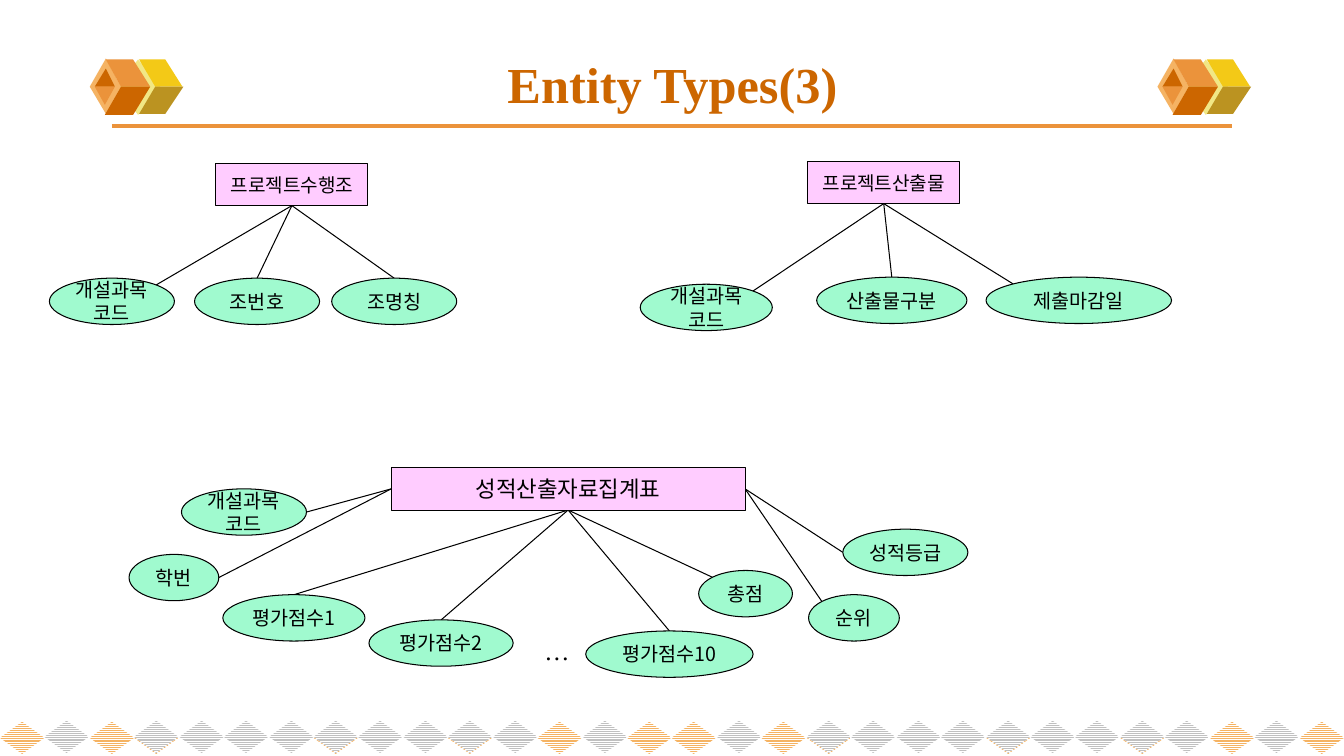
from pptx import Presentation
from pptx.dml.color import RGBColor
from pptx.enum.dml import MSO_PATTERN
from pptx.enum.shapes import MSO_CONNECTOR, MSO_SHAPE
from pptx.enum.text import MSO_ANCHOR, MSO_AUTO_SIZE, PP_ALIGN
from pptx.oxml.ns import qn
from pptx.util import Pt
from lxml import etree

PX = 9144  # 100 px to the inch
WIDTH, HEIGHT = 1333, 750
RECTANGLE, OVAL, DIAMOND = MSO_SHAPE.RECTANGLE, MSO_SHAPE.OVAL, MSO_SHAPE.DIAMOND
STRAIGHT = MSO_CONNECTOR.STRAIGHT
NARROW_HORIZONTAL = MSO_PATTERN.NARROW_HORIZONTAL
CENTER, LEFT, MIDDLE, TOP = PP_ALIGN.CENTER, PP_ALIGN.LEFT, MSO_ANCHOR.MIDDLE, MSO_ANCHOR.TOP
FIT_SHAPE = MSO_AUTO_SIZE.SHAPE_TO_FIT_TEXT

THEME = {
    "title": "CC6600", "ink": "000000", "paper": "FFFFFF",
    "entity": "FFCCFF", "attribute": "A0FACF",
    "rule": "EB933B", "band": "F5B363", "band_grey": "C0C0C0",
    "korean_font": "Noto Sans CJK KR", "latin_font": "Times New Roman",
    "title_size": 36, "entity_size": 13.6, "summary_size": 16,
    "attribute_size": 14, "dots_size": 18,
}


def write_text(shape, text, font_name, size, color, bold=False, align=CENTER, anchor=MIDDLE, inset=None):
    frame = shape.text_frame
    frame.text = text
    frame.word_wrap = True
    frame.vertical_anchor = anchor
    if inset is not None:
        for side in ("left", "top", "right", "bottom"):
            setattr(frame, "margin_" + side, inset * PX)
    for paragraph in frame.paragraphs:
        paragraph.alignment = align
        for run in paragraph.runs:
            formats = {"name": font_name, "size": Pt(size), "bold": bold}
            for name, value in formats.items():
                setattr(run.font, name, value)
            run.font.color.rgb = RGBColor.from_string(color)
            latin = run.font._element.find(qn("a:latin"))
            east_asian = etree.Element(qn("a:ea"), typeface=font_name)
            latin.addnext(east_asian)


def draw_line(shapes, start, end, color, weight):
    line = shapes.add_connector(STRAIGHT, *[round(value * PX) for value in (*start, *end)])
    line.line.color.rgb = RGBColor.from_string(color)
    line.line.width = Pt(weight)
    etree.SubElement(line._element.spPr, qn("a:effectLst"))


presentation = Presentation()
presentation.slide_width, presentation.slide_height = WIDTH * PX, HEIGHT * PX
slide = presentation.slides.add_slide(presentation.slide_layouts[5])

# Band of striped diamonds along the bottom edge
DIAMOND_COUNT = 30
orange_places = {0, 2, 12, 14, 15, 17, 27, 29}
tipped_places = {3, 7, 10, 18, 22, 25}
band = [(place, 716, "band") for place in sorted(orange_places | tipped_places)]
band += [(place, 715, "band_grey") for place in range(DIAMOND_COUNT) if place not in orange_places]
for place, top, color in band:
    left = round(place * WIDTH / DIAMOND_COUNT)
    diamond = slide.shapes.add_shape(DIAMOND, left * PX, top * PX, 44 * PX, 32 * PX)
    diamond.shadow.inherit = False
    diamond.line.fill.background()
    diamond.fill.patterned()
    diamond.fill.pattern = NARROW_HORIZONTAL
    diamond.fill.fore_color.rgb = RGBColor.from_string(THEME[color])
    diamond.fill.back_color.rgb = RGBColor.from_string(THEME["paper"])

# Rule below the title, with a pair of cubes at each end
draw_line(slide.shapes, (111, 125), (1222, 125), THEME["rule"], 2.25)
cube_faces = [
    ("F1E785", [(137, 59), (159, 86), (137, 114), (115, 86)]),
    ("F3C917", [(154, 86), (181, 86), (164, 59), (138, 59)]),
    ("BB9321", [(154, 86), (182, 86), (164, 113), (138, 113)]),
    ("F5B363", [(105, 58), (120, 86), (105, 113), (89, 86)]),
    ("EB933B", [(120, 86), (149, 86), (132, 59), (105, 59)]),
    ("CC6600", [(120, 86), (149, 86), (132, 114), (104, 114)]),
    ("CC6600", [(105, 68), (94, 86), (114, 86)]),
    ("EB933B", [(104, 104), (94, 86), (114, 86)]),
]
for shift in (0, 1059):
    for color, corners in cube_faces:
        points = [(x + shift, y) for x, y in corners]
        builder = slide.shapes.build_freeform(*points[0], scale=PX)
        builder.add_line_segments(points[1:], close=True)
        face = builder.convert_to_shape()
        face.shadow.inherit = False
        face.fill.solid()
        face.fill.fore_color.rgb = RGBColor.from_string(color)
        face.line.fill.background()

# Title
title = slide.shapes.title
for name, value in {"left": 67, "top": 45, "width": 1200, "height": 76}.items():
    setattr(title, name, value * PX)
write_text(title, "Entity Types(3)", THEME["latin_font"], THEME["title_size"], THEME["title"], bold=True)

# Entities: name, box, type size, then attributes as
# (name, left, top, width, side of the entity, side of the attribute)
ENTITY_HEIGHT, ATTRIBUTE_HEIGHT = 42, 46
SIDES = {
    "top": (0.5, 0), "bottom": (0.5, 1), "left": (0, 0.5), "right": (1, 0.5),
    "top left": (0.146, 0.146), "top right": (0.854, 0.146),
}
entities = [
    ("프로젝트수행조", 214, 162, 151, "entity_size", [
        ("개설과목코드", 49, 276, 124, "bottom", "top right"),
        ("조번호", 193, 276, 124, "bottom", "top"),
        ("조명칭", 329, 276, 124, "bottom", "top"),
    ]),
    ("프로젝트산출물", 801, 160, 151, "entity_size", [
        ("개설과목코드", 635, 282, 131, "bottom", "top right"),
        ("산출물구분", 810, 275, 149, "bottom", "top"),
        ("제출마감일", 978, 275, 184, "bottom", "top left"),
    ]),
    ("성적산출자료집계표", 388, 464, 351, "summary_size", [
        ("개설과목\n코드", 180, 485, 124, "left", "right"),
        ("학번", 128, 550, 89, "left", "right"),
        ("평가점수1", 221, 590, 141, "bottom", "top"),
        ("평가점수2", 366, 615, 143, "bottom", "top"),
        ("평가점수10", 581, 626, 166, "bottom", "top"),
        ("총점", 693, 566, 93, "bottom", "top left"),
        ("순위", 802, 590, 90, "right", "top left"),
        ("성적등급", 836, 525, 124, "right", "left"),
    ]),
]
for entity_name, entity_left, entity_top, entity_width, size, attributes in entities:
    group = slide.shapes.add_group_shape()
    entity_box = (entity_left, entity_top, entity_width, ENTITY_HEIGHT)
    nodes = [(entity_name, RECTANGLE, entity_box, "entity", size)]
    for name, left, top, width, entity_side, attribute_side in attributes:
        box = (left, top, width, ATTRIBUTE_HEIGHT)
        nodes.append((name, OVAL, box, "attribute", "attribute_size"))
        ends = []
        for (x, y, w, h), side in ((entity_box, entity_side), (box, attribute_side)):
            across, down = SIDES[side]
            ends.append((x + w * across, y + h * down))
        draw_line(group.shapes, *ends, THEME["ink"], 0.75)
    for name, kind, box, color, text_size in nodes:
        node = group.shapes.add_shape(kind, *[value * PX for value in box])
        node.shadow.inherit = False
        node.fill.solid()
        node.fill.fore_color.rgb = RGBColor.from_string(THEME[color])
        node.line.color.rgb = RGBColor.from_string(THEME["ink"])
        node.line.width = Pt(0.75)
        write_text(node, name, THEME["korean_font"], THEME[text_size], THEME["ink"], inset=4)

# Dots between the second and the tenth score
dots = slide.shapes.add_textbox(530 * PX, 625 * PX, 48 * PX, 40 * PX)
write_text(dots, "…", THEME["latin_font"], THEME["dots_size"], THEME["ink"], align=LEFT, anchor=TOP)
dots.text_frame.auto_size = FIT_SHAPE

presentation.save("out.pptx")
